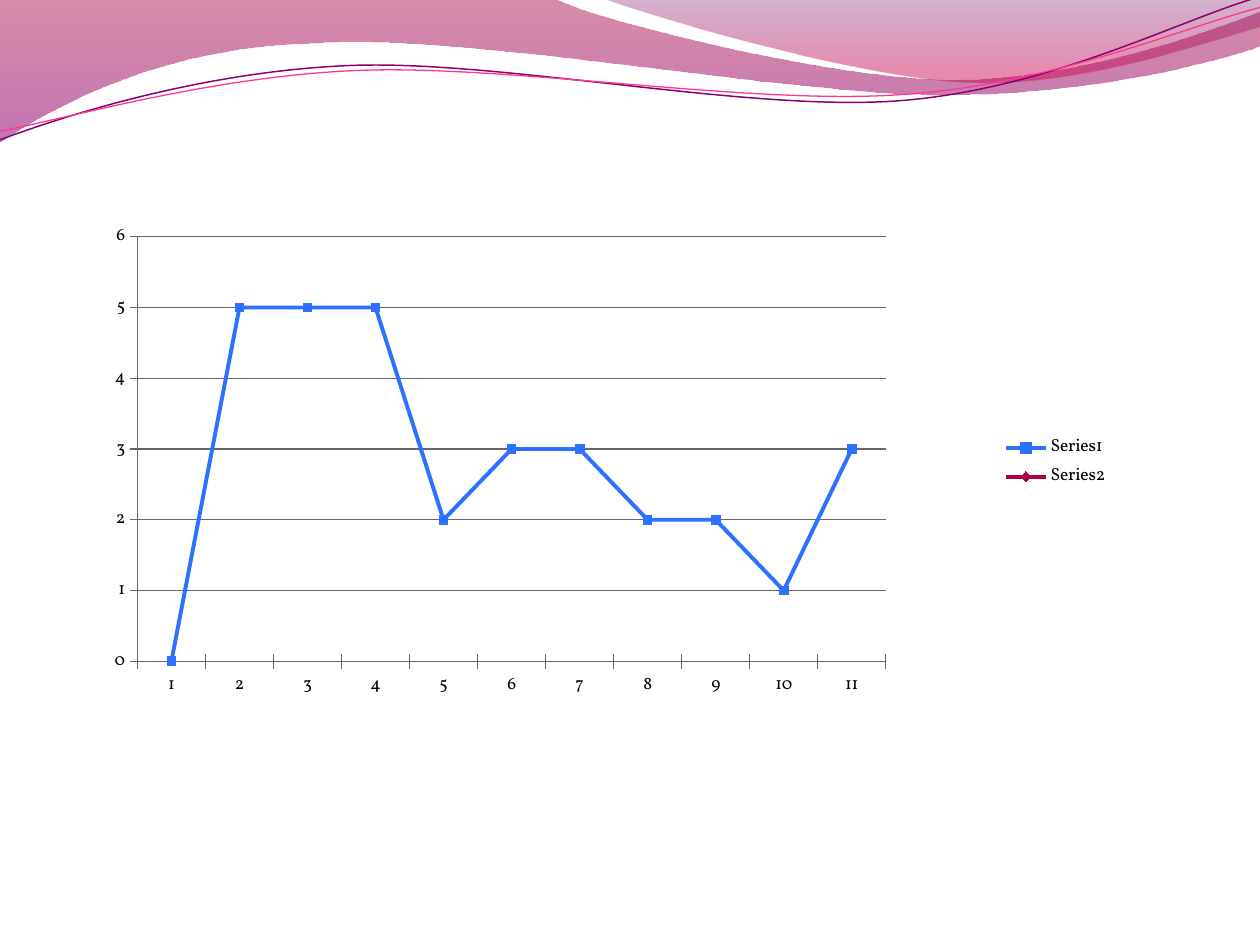
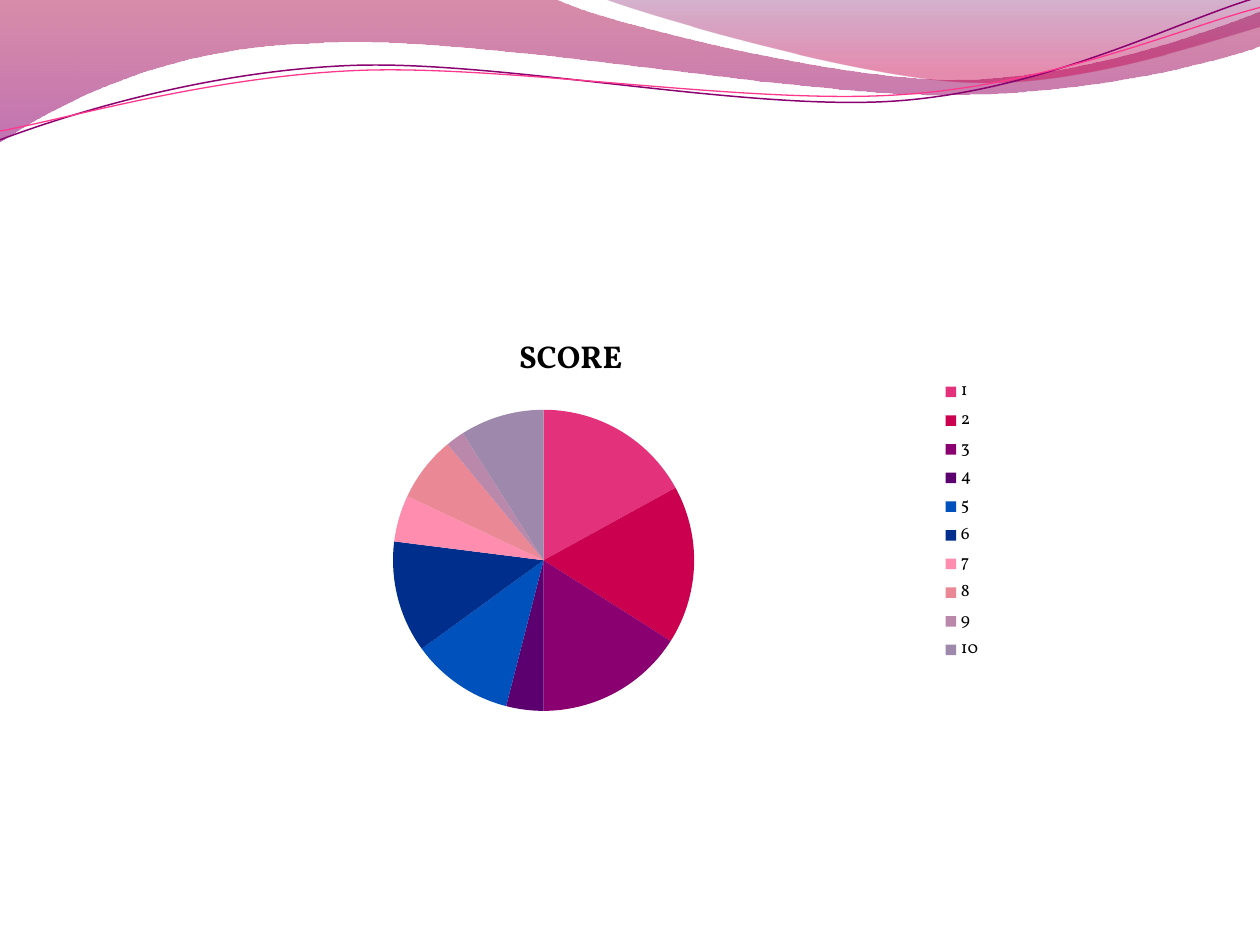
from dataclasses import dataclass
from math import cos, radians, sin

from lxml.etree import SubElement
from pptx import Presentation
from pptx.chart.chart import Chart
from pptx.chart.data import CategoryChartData
from pptx.dml.color import RGBColor
from pptx.enum.chart import XL_CHART_TYPE as ChartType
from pptx.enum.chart import XL_LEGEND_POSITION as LegendPosition
from pptx.enum.chart import XL_MARKER_STYLE as MarkerStyle
from pptx.enum.chart import XL_TICK_MARK as TickMark
from pptx.oxml.ns import qn
from pptx.shapes.autoshape import Shape
from pptx.slide import Slide, SlideLayout
from pptx.util import Inches, Pt

FONT = "Vollkorn"
TEXT = "000000"
AXIS_GREY = "666666"
PIE_COLORS = ["E3317C", "CB004F", "8A0070", "5C0070", "0051BB",
              "002E8C", "FF8DAF", "EA8895", "B988AB", "9E88AB"]

Point = tuple[float, float]
Box = tuple[float, float, float, float]


@dataclass(frozen=True)
class Stop:
    position: float
    color: str
    opacity: int


@dataclass(frozen=True)
class Wave:
    """An outline: one point is a straight segment, three are a Bezier curve."""
    start: Point
    segments: list[list[Point]]
    stops: tuple[Stop, ...] = ()
    line_color: str = ""
    line_width: float = 0
    center: Point = (0, 0)
    rotation: float = 0


@dataclass(frozen=True)
class LineStyle:
    color: str
    marker: MarkerStyle


LINE_STYLES = [LineStyle("2C71FF", MarkerStyle.SQUARE),
               LineStyle("AA0044", MarkerStyle.DIAMOND)]

# Header decoration shared by the slides, in inches
WAVES = [
    Wave((0, 0), [
        [(4.4, -0.01)],
        [(4.76, 0.17), (6.64, 0.63), (7.58, 0.63)],
        [(8.53, 0.63), (9.58, 0.26), (10, 0.09)],
        [(10.01, 0.36)],
        [(9.83, 0.44), (8.7, 0.76), (7.46, 0.75)],
        [(6.22, 0.75), (3.82, 0.28), (2.57, 0.34)],
        [(1.29, 0.36), (0.46, 0.83), (-0.01, 1.13)],
        [(0, 0)],
    ], stops=(Stop(0, "A90042", 45), Stop(1, "8E0073", 55))),
    Wave((4.79, -0.01), [
        [(5.09, 0.11), (6.82, 0.62), (7.69, 0.65)],
        [(8.56, 0.69), (9.61, 0.32), (10, 0.21)],
        [(10, 0)],
        [(4.79, -0.01)],
    ], stops=(Stop(0, "73005E", 30), Stop(0.8, "C9004F", 45))),
    Wave((0, 1.11), [
        [(0.48, 0.93), (1.58, 0.57), (2.77, 0.52)],
        [(3.95, 0.47), (5.93, 0.89), (7.13, 0.8)],
        [(8.33, 0.71), (9.38, 0.15), (9.98, -0.02)],
    ], line_color="8A0070", line_width=0.85, center=(4.99, 0.57), rotation=-2.7),
    Wave((0, 1.04), [
        [(0.47, 0.96), (1.64, 0.61), (2.83, 0.56)],
        [(4.03, 0.51), (5.97, 0.84), (7.17, 0.75)],
        [(8.36, 0.67), (9.41, 0.21), (10, 0.06)],
    ], line_color="FF388C", line_width=0.75, center=(5, 0.59), rotation=-2.7),
]


def rgb(color: str) -> RGBColor:
    return RGBColor.from_string(color)


def unrotated(point: Point, wave: Wave) -> tuple[int, int]:
    """Turn a point back about the wave's center, to where it lies unrotated."""
    angle = radians(-wave.rotation)
    dx, dy = point[0] - wave.center[0], point[1] - wave.center[1]
    x = wave.center[0] + dx * cos(angle) - dy * sin(angle)
    y = wave.center[1] + dx * sin(angle) + dy * cos(angle)
    return Inches(x), Inches(y)


def fill_gradient(shape: Shape, stops: tuple[Stop, ...]) -> None:
    shape.fill.gradient()
    shape.fill.gradient_angle = 270
    for gradient_stop, stop in zip(shape.fill.gradient_stops, stops):
        gradient_stop.position = stop.position
        gradient_stop.color.rgb = rgb(stop.color)
    for color, stop in zip(shape.element.spPr.iter(qn("a:srgbClr")), stops):
        SubElement(color, qn("a:alpha"), val=str(stop.opacity * 1000))


def bend_segments(shape: Shape, segments: list[list[Point]]) -> None:
    """Join the straight steps of each three-point segment into one curve."""
    outline = next(shape.element.iter(qn("a:path")))
    steps = iter(outline.findall(qn("a:lnTo")))
    for segment in segments:
        lines = [next(steps) for _ in segment]
        if len(lines) == 3:
            curve = SubElement(outline, qn("a:cubicBezTo"))
            lines[0].addprevious(curve)
            for line in lines:
                curve.append(line[0])
                outline.remove(line)


def draw_wave(slide: Slide, wave: Wave) -> Shape:
    points = [unrotated(point, wave)
              for point in [wave.start, *sum(wave.segments, [])]]
    builder = slide.shapes.build_freeform(*points[0])
    builder.add_line_segments(points[1:], close=bool(wave.stops))
    shape = builder.convert_to_shape()
    bend_segments(shape, wave.segments)
    shape.rotation = wave.rotation
    shape.shadow.inherit = False
    if wave.stops:
        fill_gradient(shape, wave.stops)
        shape.line.fill.background()
    else:
        shape.fill.background()
        shape.line.color.rgb = rgb(wave.line_color)
        shape.line.width = Pt(wave.line_width)
    return shape


def decorate_layout(layout: SlideLayout, slide: Slide) -> None:
    """Draw the waves on a slide and move them to its layout."""
    for placeholder in list(layout.placeholders):
        layout.shapes.element.remove(placeholder.element)
    shapes = [draw_wave(slide, wave) for wave in WAVES]
    for shape in shapes:
        layout.shapes.element.append(shape.element)


def place_plot(chart: Chart, chart_box: Box, plot_box: Box) -> None:
    """Fix the inner plot area, given in inches from the chart's corner."""
    plot_area = chart.element.find(".//" + qn("c:plotArea"))
    layout = plot_area.find(qn("c:layout"))
    if layout is None:
        layout = SubElement(plot_area, qn("c:layout"))
        plot_area.insert(0, layout)
    manual = SubElement(layout, qn("c:manualLayout"))
    settings = [("layoutTarget", "inner"), ("xMode", "edge"), ("yMode", "edge")]
    sizes = chart_box[2:] * 2
    settings += [(name, f"{length / size:.4f}")
                 for name, length, size in zip("xywh", plot_box, sizes)]
    for name, value in settings:
        SubElement(manual, qn(f"c:{name}"), val=value)


def add_chart(slide: Slide, kind: ChartType, box: Box,
              data: CategoryChartData) -> Chart:
    chart = slide.shapes.add_chart(kind, *map(Inches, box), data).chart
    chart.font.name = FONT
    chart.font.size = Pt(10)
    chart.font.color.rgb = rgb(TEXT)
    chart.has_title = False
    chart.has_legend = True
    chart.legend.position = LegendPosition.RIGHT
    chart.legend.include_in_layout = False
    return chart


def numbered_data(count: int) -> CategoryChartData:
    data = CategoryChartData()
    data.categories = [str(number) for number in range(1, count + 1)]
    return data


def build_line_slide(slide: Slide) -> None:
    values = [0, 5, 5, 5, 2, 3, 3, 2, 2, 1, 3]
    data = numbered_data(len(values))
    data.add_series("", values)
    data.add_series("", [None] * len(values))
    box = (0.62, 1.56, 8.28, 4.22)
    chart = add_chart(slide, ChartType.LINE_MARKERS, box, data)
    place_plot(chart, box, (0.47, 0.32, 5.94, 3.37))

    # Axes and gridlines
    value_axis = chart.value_axis
    value_axis.has_major_gridlines = True
    for axis in (value_axis, chart.category_axis):
        axis.major_tick_mark = TickMark.CROSS
        axis.minor_tick_mark = TickMark.NONE
    for item in (value_axis, chart.category_axis, value_axis.major_gridlines):
        item.format.line.color.rgb = rgb(AXIS_GREY)
        item.format.line.width = Pt(0.75)

    # Series, unnamed so that the legend numbers them
    chart.plots[0].vary_by_categories = False
    for series, style in zip(chart.plots[0].series, LINE_STYLES):
        element = chart.element.findall(".//" + qn("c:ser"))[series.index]
        element.remove(element.find(qn("c:tx")))
        series.smooth = False
        series.format.line.color.rgb = rgb(style.color)
        series.format.line.width = Pt(2.25)
        series.marker.style = style.marker
        series.marker.size = 5
        series.marker.format.fill.solid()
        series.marker.format.fill.fore_color.rgb = rgb(style.color)
        series.marker.format.line.color.rgb = rgb(style.color)


def build_pie_slide(slide: Slide) -> None:
    values = [17, 17, 16, 4, 11, 12, 5, 7, 2, 9]
    data = numbered_data(len(values))
    data.add_series("SCORE", values)
    chart = add_chart(slide, ChartType.PIE, (1.17, 2.49, 6.72, 3.29), data)

    # Title
    chart.has_title = True
    title = chart.chart_title
    title.include_in_layout = False
    title.text_frame.text = "SCORE"
    font = title.text_frame.paragraphs[0].runs[0].font
    font.name, font.size, font.bold = FONT, Pt(18), True
    font.color.rgb = rgb(TEXT)

    # Slices
    chart.plots[0].vary_by_categories = True
    for index, color in enumerate(PIE_COLORS):
        slice_format = chart.plots[0].series[0].points[index].format
        slice_format.fill.solid()
        slice_format.fill.fore_color.rgb = rgb(color)
        slice_format.line.fill.background()


def main() -> None:
    presentation = Presentation()
    presentation.slide_width, presentation.slide_height = Inches(10), Inches(7.5)
    layout = presentation.slide_layouts[6]
    line_slide, pie_slide = (presentation.slides.add_slide(layout) for _ in range(2))
    decorate_layout(layout, line_slide)
    build_line_slide(line_slide)
    build_pie_slide(pie_slide)
    presentation.save("out.pptx")


if __name__ == "__main__":
    main()
